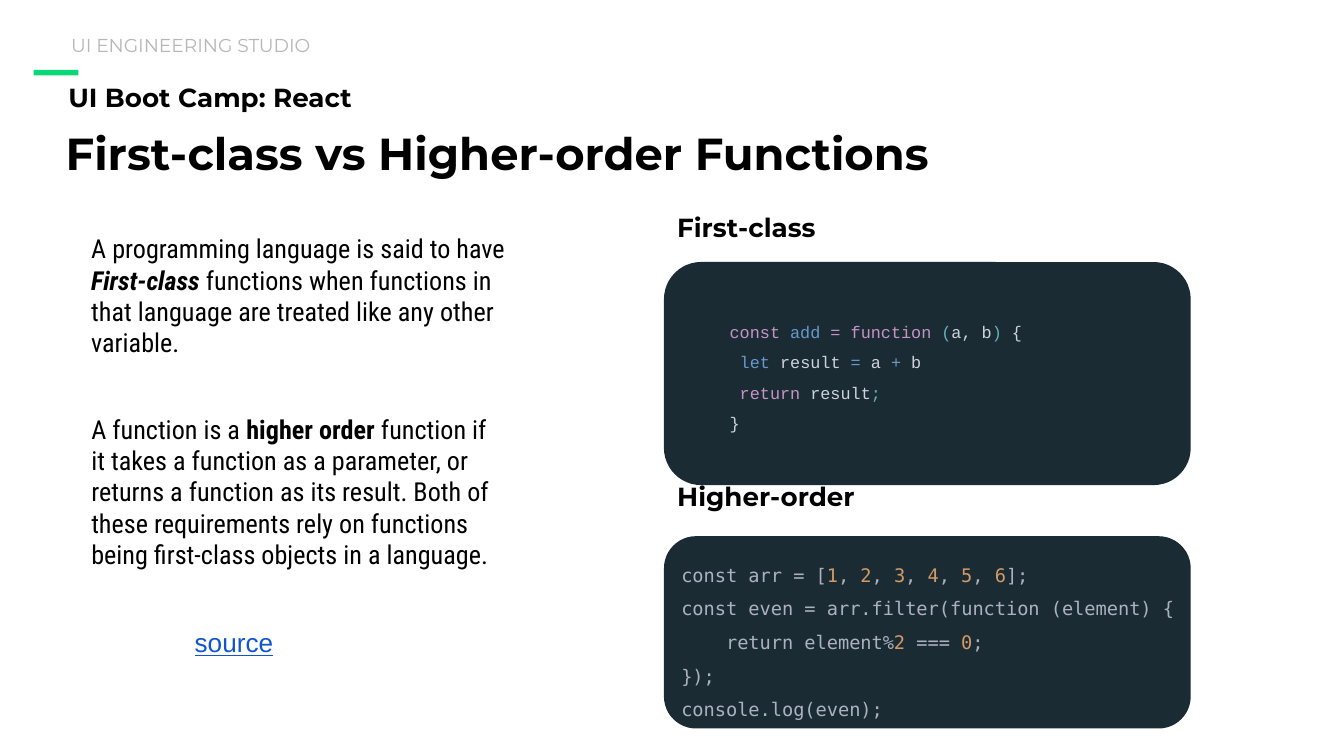
"""Build the slide on first-class and higher-order functions."""
import pptx
import pptx.dml.color
import pptx.enum.shapes
import pptx.enum.text
import pptx.util

Pt = pptx.util.Pt
KIND = pptx.enum.shapes.MSO_SHAPE
ANCHOR = pptx.enum.text.MSO_ANCHOR
BLACK, GREEN, NAVY, BLUE = "000000", "0AD876", "1B2B34", "1155CC"
PINK, SKY, TEAL, PALE = "C594C5", "6699CC", "5FB3B3", "CDD3DE"
GREY, GOLD = "ABB2BF", "D19A66"


def color(code):
    return pptx.dml.color.RGBColor.from_string(code)


def note(box, font, size, lines, gap=1.0, anchor=ANCHOR.TOP, left=7.2):
    """Add a text box; each line lists runs of words, colour and style letters."""
    frame = slide.shapes.add_textbox(*map(Pt, box)).text_frame
    frame.word_wrap = True
    frame.vertical_anchor = anchor
    frame.margin_left = Pt(left)
    frame.margin_top = frame.margin_right = frame.margin_bottom = Pt(7.2)
    for row, line in enumerate(lines):
        para = frame.add_paragraph() if row else frame.paragraphs[0]
        para.line_spacing = gap
        for words, code, *style in line:
            run = para.add_run()
            run.text = words
            run.font.name = font
            run.font.size = Pt(size)
            run.font.color.rgb = color(code)
            run.font.bold = "b" in style
            run.font.italic = "i" in style
            run.font.underline = "u" in style


deck = pptx.Presentation()
deck.slide_width, deck.slide_height = Pt(720), Pt(405)
slide = deck.slides.add_slide(deck.slide_layouts[6])

for kind, box, code in [
    (KIND.RECTANGLE, (18, 37.5, 24, 2.9), GREEN),
    (KIND.ROUNDED_RECTANGLE, (355.7, 140.4, 282.2, 119.5), NAVY),
    (KIND.ROUNDED_RECTANGLE, (355.7, 287.3, 282.2, 103), NAVY),
]:
    shape = slide.shapes.add_shape(kind, *map(Pt, box))
    shape.shadow.inherit = False
    shape.fill.solid()
    shape.fill.fore_color.rgb = color(code)
    shape.line.fill.background()

for box, size, words, code, style, anchor in [
    ((31, 13.7, 272, 18.7), 10, "UI ENGINEERING STUDIO", "B7B7B7", "", ANCHOR.MIDDLE),
    ((29.5, 33.8, 330.5, 39.6), 14, "UI Boot Camp: React", BLACK, "b", ANCHOR.TOP),
    ((28.1, 59.8, 491, 39.6), 24, "First-class vs Higher-order Functions", BLACK, "b",
     ANCHOR.MIDDLE),
    ((355.7, 103.7, 177, 36.7), 14, "First-class", BLACK, "b", ANCHOR.TOP),
    ((355.7, 247.7, 177, 36.7), 14, "Higher-order", BLACK, "b", ANCHOR.TOP),
]:
    note(box, "Montserrat", size, [[(words, code, style)]], 1.15, anchor)

note((41.8, 117.4, 252, 94.3), "Roboto Condensed", 14, [[
    ("A programming language is said to have ", BLACK),
    ("First-class", BLACK, "b", "i"),
    (" functions when functions in that language are treated like any other variable.",
     BLACK),
]])
note((41.8, 193, 236.2, 140.4), "Roboto Condensed", 14, [[
    ("A function is a ", BLACK),
    ("higher order", BLACK, "b"),
    (" function if it takes a function as a parameter, or returns a function as its "
     "result. Both of these requirements rely on functions being first-class objects "
     "in a language.", BLACK),
]], anchor=ANCHOR.MIDDLE)
note((97.2, 328.3, 100, 25.2), "Arial", 14, [[("source", BLUE, "u")]])

note((383.8, 154.8, 236.2, 89.3), "Courier New", 9, [
    [("const ", PINK), ("add", SKY), (" = function ", PINK), ("(", TEAL),
     ("a, b", PALE), (")", TEAL), (" {", PALE)],
    [(" let ", SKY), ("result", PALE), (" = ", SKY), ("a", PALE), (" + ", SKY),
     ("b", PALE)],
    [(" return", PINK), (" result", PALE), (";", TEAL)],
    [("}", PALE)],
], 1.5, ANCHOR.MIDDLE)

items = [("const arr = [", GREY), ("1", GOLD)]
for digit in "23456":
    items += [(", ", GREY), (digit, GOLD)]
note((347, 306.7, 356.4, 68.4), "DejaVu Sans Mono", 10, [
    items + [("];", GREY)],
    [("const even = arr.filter(function (element) {", GREY)],
    [("    return element%", GREY), ("2", GOLD), (" === ", GREY), ("0", GOLD),
     (";", GREY)],
    [("});", GREY)],
    [("console.log(even);", GREY)],
], 1.5, ANCHOR.MIDDLE, 18)

deck.save("out.pptx")
